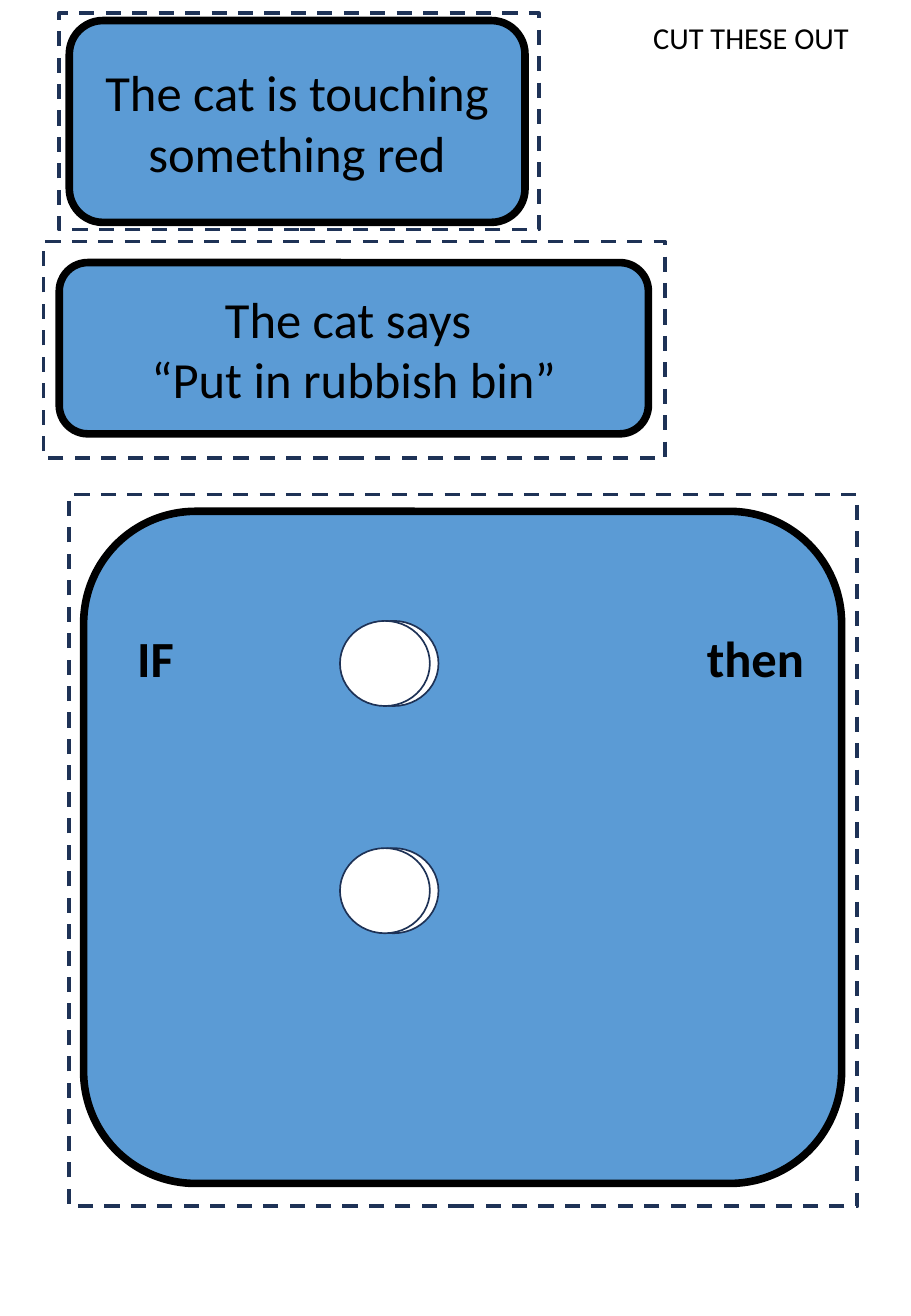
import pptx
import pptx.util
import pptx.dml.color
import pptx.enum.dml
import pptx.enum.shapes
import pptx.enum.text

Cm = pptx.util.Cm
Pt = pptx.util.Pt
MSO_SHAPE = pptx.enum.shapes.MSO_SHAPE

BLACK = pptx.dml.color.RGBColor(0x00, 0x00, 0x00)
WHITE = pptx.dml.color.RGBColor(0xFF, 0xFF, 0xFF)
BLUE = pptx.dml.color.RGBColor(0x5B, 0x9B, 0xD5)
NAVY = pptx.dml.color.RGBColor(0x1E, 0x32, 0x56)

presentation = pptx.Presentation()
presentation.slide_width = Cm(19.05)
presentation.slide_height = Cm(27.51)
slide = presentation.slides.add_slide(presentation.slide_layouts[6])


def add_outlined(kind, box, fill, line, width):
    """Add a flat shape; box is left, top, width, height in centimetres."""
    shape = slide.shapes.add_shape(kind, *map(Cm, box))
    shape.shadow.inherit = False
    shape.fill.solid()
    shape.fill.fore_color.rgb = fill
    shape.line.color.rgb = line
    shape.line.width = Pt(width)
    return shape


def write(frame, text, size, bold=False, alignment=pptx.enum.text.PP_ALIGN.LEFT):
    frame.word_wrap = True
    frame.text = text
    for paragraph in frame.paragraphs:
        paragraph.alignment = alignment
        paragraph.font.name = "Calibri"
        paragraph.font.size = Pt(size)
        paragraph.font.bold = bold
        paragraph.font.color.rgb = BLACK


# Dashed cutting guides
for guide_box in [
    (1.24, 0.28, 10.03, 4.52),
    (0.91, 5.05, 13, 4.52),
    (1.45, 10.34, 16.48, 14.88),
]:
    guide = add_outlined(MSO_SHAPE.RECTANGLE, guide_box, WHITE, NAVY, 2.25)
    guide.line.dash_style = pptx.enum.dml.MSO_LINE.DASH

# Blue cards
for card_box, card_text in [
    ((1.75, 10.69, 15.85, 14.05), ""),
    ((1.45, 0.43, 9.53, 4.22), "The cat is touching something red"),
    ((1.24, 5.49, 12.32, 3.58), "The cat says \n“Put in rubbish bin”"),
]:
    card = add_outlined(MSO_SHAPE.ROUNDED_RECTANGLE, card_box, BLUE, BLACK, 4.5)
    if card_text:
        frame = card.text_frame
        frame.vertical_anchor = pptx.enum.text.MSO_ANCHOR.MIDDLE
        frame.margin_left = frame.margin_right = Cm(0.25)
        frame.margin_top = frame.margin_bottom = Cm(0.25)
        write(frame, card_text, 30, alignment=pptx.enum.text.PP_ALIGN.CENTER)

# Labels
for label_box, label_text, size, bold in [
    ((2.62, 12.98, 2.13, 1.55), "IF", 30, True),
    ((14.53, 12.98, 3.07, 1.55), "then", 30, True),
    ((13.41, 0.28, 6.02, 1.02), "CUT THESE OUT", 18, False),
]:
    label = slide.shapes.add_textbox(*map(Cm, label_box))
    write(label.text_frame, label_text, size, bold)

# Overlapping holes in the large card
for hole_left in (7.29, 7.11):
    for hole_top in (12.98, 17.73):
        add_outlined(MSO_SHAPE.OVAL, (hole_left, hole_top, 1.88, 1.78), WHITE, NAVY, 1)

presentation.save("out.pptx")
